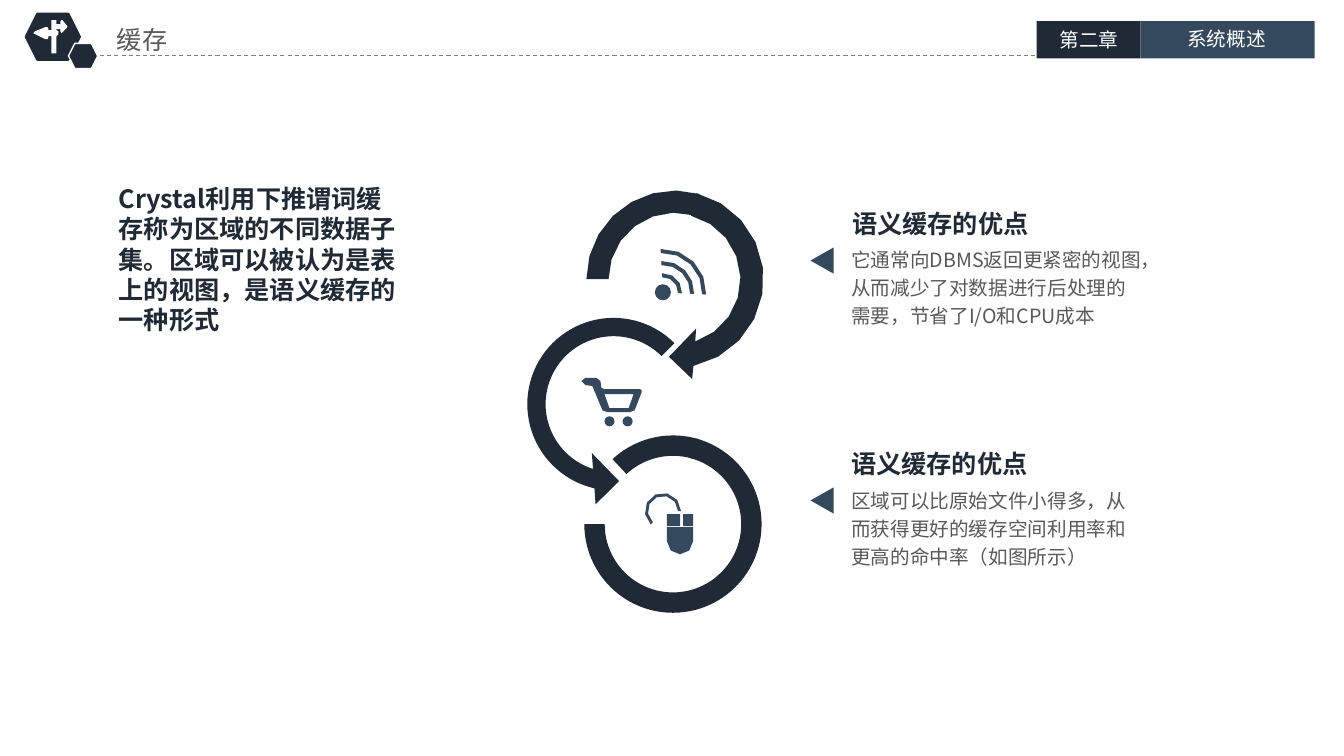
import math
from dataclasses import dataclass

import lxml.etree
import pptx
import pptx.dml.color
import pptx.enum.dml
import pptx.enum.shapes
import pptx.enum.text
import pptx.oxml.ns
import pptx.util

Inches = pptx.util.Inches
RGBColor = pptx.dml.color.RGBColor
MSO_SHAPE = pptx.enum.shapes.MSO_SHAPE
PP_ALIGN = pptx.enum.text.PP_ALIGN
MSO_AUTO_SIZE = pptx.enum.text.MSO_AUTO_SIZE
qn = pptx.oxml.ns.qn

NAVY = RGBColor(0x20, 0x2A, 0x36)
SLATE = RGBColor(0x34, 0x49, 0x5E)
BODY = RGBColor(0x59, 0x59, 0x59)
GRAY = RGBColor(0x80, 0x80, 0x80)
WHITE = RGBColor(0xFF, 0xFF, 0xFF)
FONT = "Noto Sans CJK SC"
ARC_TOLERANCE = 0.01

Point = tuple[float, float]
Outline = list[Point]


@dataclass
class Label:
    text: str
    left: float
    top: float
    width: float
    height: float
    size: int
    color: RGBColor
    bold: bool = False
    wrap: bool = True
    spacing: float | None = None
    align: PP_ALIGN = PP_ALIGN.LEFT
    inset: float = 0.1


@dataclass
class Preset:
    kind: MSO_SHAPE
    left: float
    top: float
    width: float
    height: float
    color: RGBColor
    adjustments: tuple[float, ...] = ()
    rotation: float = 0
    line: RGBColor | None = None
    line_width: float = 1


@dataclass
class Drawing:
    color: RGBColor
    outlines: list[Outline]


def arc(center: Point, radius: float, start: float, end: float) -> Outline:
    step = 2 * math.degrees(math.acos(1 - ARC_TOLERANCE / radius))
    steps = math.ceil(abs(end - start) / step)
    angles = [math.radians(start + (end - start) * i / steps) for i in range(steps + 1)]
    return [(center[0] + radius * math.cos(a), center[1] + radius * math.sin(a)) for a in angles]


def band(center: Point, outer: float, inner: float, start: float, end: float) -> Outline:
    return arc(center, outer, start, end) + arc(center, inner, end, start)


def box(left: float, top: float, right: float, bottom: float) -> Outline:
    return [(left, top), (right, top), (right, bottom), (left, bottom)]


def add_label(s: pptx.slide.Slide, label: Label) -> None:
    sp = s.shapes.add_textbox(Inches(label.left), Inches(label.top),
                              Inches(label.width), Inches(label.height))
    tf = sp.text_frame
    tf.word_wrap = label.wrap
    tf.auto_size = MSO_AUTO_SIZE.SHAPE_TO_FIT_TEXT
    tf.margin_left = tf.margin_right = Inches(label.inset)
    tf.margin_top = tf.margin_bottom = Inches(label.inset / 2)
    tf.text = label.text
    p = tf.paragraphs[0]
    p.alignment = label.align
    p.line_spacing = label.spacing
    r = p.runs[0]
    r.font.size = pptx.util.Pt(label.size)
    r.font.bold = label.bold
    r.font.name = FONT
    r.font.color.rgb = label.color
    lxml.etree.SubElement(r.font._element, qn("a:ea")).set("typeface", FONT)


def add_preset(s: pptx.slide.Slide, preset: Preset) -> None:
    sp = s.shapes.add_shape(preset.kind, Inches(preset.left), Inches(preset.top),
                            Inches(preset.width), Inches(preset.height))
    for i, value in enumerate(preset.adjustments):
        sp.adjustments[i] = value
    sp.rotation = preset.rotation
    sp.shadow.inherit = False
    sp.fill.solid()
    sp.fill.fore_color.rgb = preset.color
    if preset.line is None:
        sp.line.fill.background()
    else:
        sp.line.color.rgb = preset.line
        sp.line.width = pptx.util.Pt(preset.line_width)


def add_drawing(s: pptx.slide.Slide, drawing: Drawing) -> None:
    outlines = [[(Inches(x), Inches(y)) for x, y in o] for o in drawing.outlines]
    builder = s.shapes.build_freeform(*outlines[0][0])
    builder.add_line_segments(outlines[0][1:], close=True)
    for outline in outlines[1:]:
        builder.move_to(*outline[0])
        builder.add_line_segments(outline[1:], close=True)
    sp = builder.convert_to_shape()
    sp.shadow.inherit = False
    sp.fill.solid()
    sp.fill.fore_color.rgb = drawing.color
    sp.line.fill.background()


def add_dashed_rule(s: pptx.slide.Slide, left: float, right: float, y: float) -> None:
    line = s.shapes.add_connector(pptx.enum.shapes.MSO_CONNECTOR.STRAIGHT,
                                  Inches(left), Inches(y), Inches(right), Inches(y))
    line.line.color.rgb = GRAY
    line.line.width = pptx.util.Pt(0.75)
    line.line.dash_style = pptx.enum.dml.MSO_LINE.DASH
    lxml.etree.SubElement(line._element.spPr, qn("a:effectLst"))


TOP_RING = (6.7, 2.77)
SIGNAL = (6.58, 2.9)
CORD = (6.58, 5.07)
ARROW_HEAD = [(6.87, 3.76), (6.64, 3.54), (6.91, 3.26)]
CART_BODY = [(6.35, 3.86), (6, 3.86), (5.97, 3.85), (5.96, 3.78), (5.92, 3.75),
             (5.81, 3.75), (5.77, 3.78), (5.81, 3.82), (5.88, 3.83), (5.98, 4.07),
             (6.03, 4.09), (6.25, 4.09), (6.3, 4.07), (6.37, 3.89), (6.37, 3.87)]
CART_BASKET = [(6.24, 4.05), (6.05, 4.05), (6, 3.91), (6.29, 3.91)]
SIGNPOST = [(0.66, 0.25), (0.62, 0.2), (0.61, 0.2), (0.6, 0.21), (0.6, 0.24),
            (0.56, 0.24), (0.56, 0.2), (0.51, 0.2), (0.51, 0.3), (0.48, 0.3),
            (0.48, 0.28), (0.47, 0.27), (0.45, 0.27), (0.35, 0.31), (0.33, 0.33),
            (0.35, 0.34), (0.45, 0.39), (0.47, 0.39), (0.48, 0.38), (0.48, 0.36),
            (0.51, 0.36), (0.51, 0.53), (0.56, 0.53), (0.56, 0.36), (0.58, 0.34),
            (0.58, 0.31), (0.56, 0.3), (0.56, 0.29), (0.6, 0.29), (0.6, 0.31),
            (0.61, 0.33), (0.62, 0.32), (0.66, 0.28), (0.67, 0.26)]

PRESETS = [
    Preset(MSO_SHAPE.LEFT_CIRCULAR_ARROW, 5.07, 2.99, 2.04, 2.04, NAVY,
           (0.089, 11.423, 62.936, 189, 0.125)),
    Preset(MSO_SHAPE.BLOCK_ARC, 5.8, 4.32, 1.76, 1.76, NAVY, (136.244, 172.282, 0.115)),
    Preset(MSO_SHAPE.BLOCK_ARC, 5.8, 4.32, 1.76, 1.76, NAVY, (170.851, 108, 0.115)),
    *[Preset(MSO_SHAPE.ISOSCELES_TRIANGLE, 8.03, y, 0.26, 0.23, SLATE, rotation=270)
      for y in (2.47, 4.85)],
    *[Preset(MSO_SHAPE.OVAL, x, 4.13, 0.1, 0.1, SLATE) for x in (6, 6.18)],
    Preset(MSO_SHAPE.OVAL, 6.5, 2.82, 0.16, 0.16, SLATE),
    Preset(MSO_SHAPE.HEXAGON, 0.26, 0.14, 0.53, 0.45, NAVY, line=NAVY, line_width=2),
    Preset(MSO_SHAPE.RECTANGLE, 10.29, 0.21, 1.03, 0.37, NAVY),
    Preset(MSO_SHAPE.RECTANGLE, 11.32, 0.21, 1.73, 0.37, SLATE),
    Preset(MSO_SHAPE.HEXAGON, 0.68, 0.43, 0.29, 0.25, NAVY, line=WHITE),
]

DRAWINGS = [
    Drawing(NAVY, [arc(TOP_RING, 0.88, 284, 438) + ARROW_HEAD + arc(TOP_RING, 0.65, 432, 284)]),
    Drawing(NAVY, [band(TOP_RING, 0.88, 0.66, 180, 286)]),
    *[Drawing(SLATE, [band(SIGNAL, radius + 0.02, radius - 0.02, 267, 363)])
      for radius in (0.17, 0.29, 0.41)],
    Drawing(SLATE, [CART_BODY, CART_BASKET]),
    Drawing(SLATE, [box(6.62, 5.1, 6.75, 5.22), box(6.78, 5.1, 6.88, 5.22),
                    [(6.62, 5.23), (6.88, 5.23)] + arc((6.75, 5.37), 0.13, 0, 180)]),
    Drawing(SLATE, [band(CORD, 0.18, 0.15, 132, 360)]),
    Drawing(WHITE, [SIGNPOST]),
]

LABELS = [
    Label("语义缓存的优点", 8.36, 2.02, 1.97, 0.4, 18, NAVY, bold=True, wrap=False),
    Label("语义缓存的优点", 8.35, 4.4, 1.97, 0.4, 18, NAVY, bold=True, wrap=False),
    Label("Crystal利用下推谓词缓存称为区域的不同数据子集。区域可以被认为是表上的视图，是语义缓存的一种形式",
          1.08, 1.77, 3.01, 1.62, 18, NAVY, bold=True),
    Label("它通常向DBMS返回更紧密的视图，从而减少了对数据进行后处理的需要，节省了I/O和CPU成本",
          8.35, 2.36, 3.09, 0.93, 14, BODY, spacing=1.2),
    Label("区域可以比原始文件小得多，从而获得更好的缓存空间利用率和更高的命中率（如图所示）",
          8.35, 4.75, 3.09, 0.93, 14, BODY, spacing=1.2),
    Label("缓存", 1.09, 0.21, 3.54, 0.38, 18, BODY, inset=0.07),
    Label("第二章", 10.3, 0.24, 1.02, 0.31, 14, WHITE, align=PP_ALIGN.CENTER, inset=0.07),
    Label("系统概述", 11.31, 0.23, 1.73, 0.31, 14, WHITE, align=PP_ALIGN.CENTER, inset=0.07),
]


def main() -> None:
    prs = pptx.Presentation()
    prs.slide_width, prs.slide_height = Inches(13.34), Inches(7.5)
    s = prs.slides.add_slide(prs.slide_layouts[6])
    add_dashed_rule(s, 0.92, 10.29, 0.55)
    for preset in PRESETS:
        add_preset(s, preset)
    for drawing in DRAWINGS:
        add_drawing(s, drawing)
    for label in LABELS:
        add_label(s, label)
    prs.save("out.pptx")


if __name__ == "__main__":
    main()
